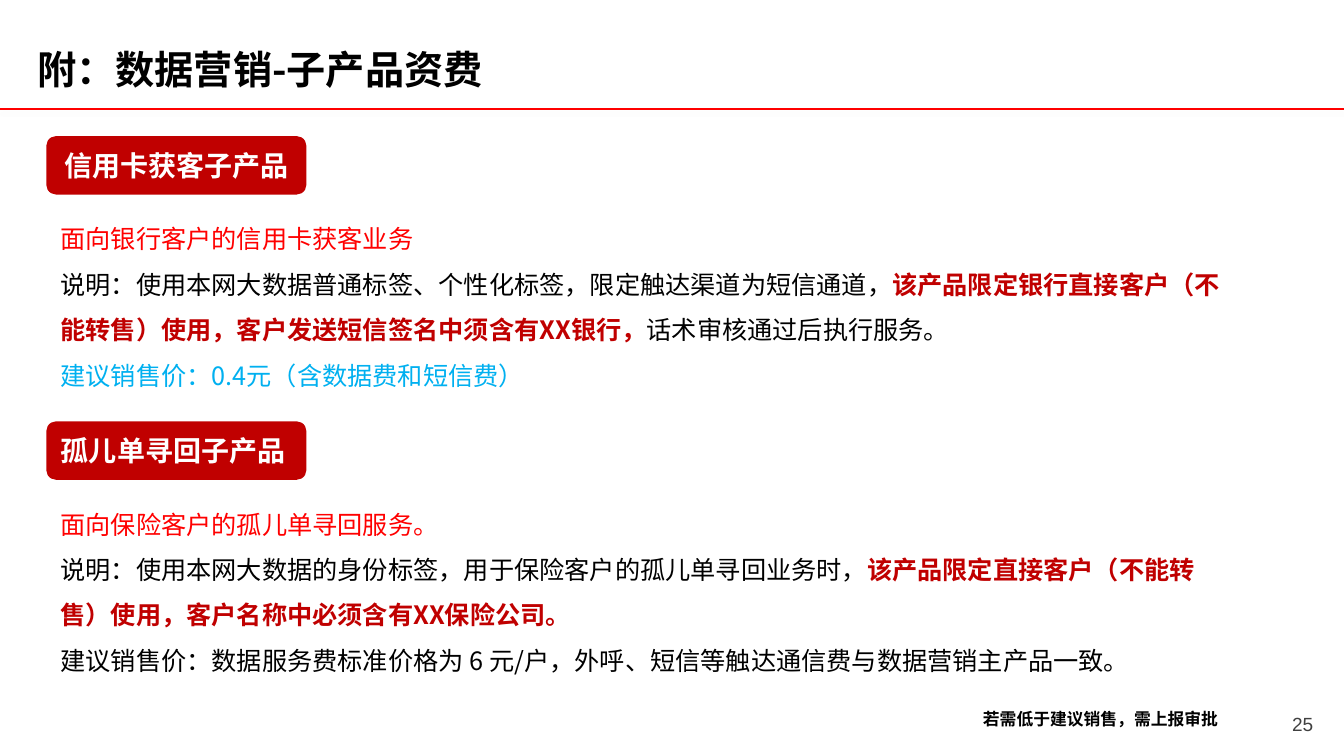
from lxml import etree
from pptx import Presentation
from pptx import util as u
from pptx.dml.color import RGBColor
from pptx.enum import shapes, text
from pptx.oxml import ns, parse_xml

COLORS = {"black": "000000", "red": "FF0000", "crimson": "C00000",
          "blue": "00B0F0", "white": "FFFFFF", "grey": "404040"}
CJK = "Noto Sans CJK SC"
SIZE = (13.33, 7.5)

deck = Presentation()
deck.slide_width, deck.slide_height = map(u.Inches, SIZE)
page = deck.slides.add_slide(deck.slide_layouts[3])


def area(left, top, width, height):
    shares = zip((left, top, width, height), SIZE * 2)
    return [u.Inches(share * side / 100) for share, side in shares]


def write(box, paras, size, frame_format, para_format, font=CJK):
    frame = box.text_frame
    for name, value in frame_format.items():
        setattr(frame, name, value)
    for index, spans in enumerate(paras):
        para = frame.add_paragraph() if index else frame.paragraphs[0]
        props = para._p.get_or_add_pPr()
        props.set("marL", "0")
        props.set("indent", "0")
        etree.SubElement(props, ns.qn("a:buNone"))
        for name, value in {"space_before": u.Pt(0), **para_format}.items():
            setattr(para, name, value)
        for words, color, bold in spans:
            span = para.add_run()
            span.text = words
            for name, value in {"size": u.Pt(size), "bold": bold, "name": font}.items():
                setattr(span.font, name, value)
            span.font.color.rgb = RGBColor.from_string(COLORS[color])
            letters = span._r.get_or_add_rPr()
            letters.set("lang", "zh-CN")
            letters.find(ns.qn("a:latin")).addnext(
                etree.Element(ns.qn("a:ea"), typeface=font))


rule_left, rule_top, rule_width, _ = area(0, 14.4, 100, 0)
rule = page.shapes.add_connector(shapes.MSO_CONNECTOR.STRAIGHT,
                                 rule_left, rule_top, rule_width, rule_top)
rule.line.color.rgb = RGBColor.from_string(COLORS["red"])
rule.line.width = u.Pt(1)
rule._element.spPr.append(parse_xml(
    f'<a:effectLst {ns.nsdecls("a")}>'
    f'<a:outerShdw blurRad="{u.Pt(3.1)}" dist="{u.Pt(1.6)}" dir="5400000" rotWithShape="0">'
    f'<a:srgbClr val="{COLORS["black"]}"><a:alpha val="38000"/></a:srgbClr>'
    '</a:outerShdw></a:effectLst>'))

LEFT, CENTER = text.PP_ALIGN.LEFT, text.PP_ALIGN.CENTER
TOP, MIDDLE = text.MSO_ANCHOR.TOP, text.MSO_ANCHOR.MIDDLE
GROW = text.MSO_AUTO_SIZE.SHAPE_TO_FIT_TEXT
growing = {"word_wrap": True, "auto_size": GROW, "vertical_anchor": TOP}
flush = dict.fromkeys(("margin_left", "margin_top", "margin_right", "margin_bottom"), 0)

title = page.shapes.title
title.left, title.top, title.width, title.height = area(2.78, 4.4, 45.46, 7.87)
write(title, [[("附：数据营销-子产品资费", "black", True)]], 28,
      {**growing, **flush}, {"line_spacing": 1.25, "alignment": LEFT})

sections = [
    ("信用卡获客子产品", [
        [("面向银行客户的信用卡获客业务", "red", False)],
        [("说明：使用本网大数据普通标签、个性化标签，限定触达渠道为短信通道，", "black", False),
         ("该产品限定银行直接客户（不能转售）使用，客户发送短信签名中须含有XX银行，", "crimson", True),
         ("话术审核通过后执行服务。", "black", False)],
        [("建议销售价：0.4元（含数据费和短信费）", "blue", False)]]),
    ("孤儿单寻回子产品 ", [
        [("面向保险客户的孤儿单寻回服务。", "red", False)],
        [("说明：使用本网大数据的身份标签，用于保险客户的孤儿单寻回业务时，", "black", False),
         ("该产品限定直接客户（不能转售）使用，客户名称中必须含有XX保险公司。", "crimson", True)],
        [("建议销售价：数据服务费标准价格为 6 元/户，外呼、短信等触达通信费与数据营销主产品一致。",
          "black", False)]]),
]
FIRST_ROW, SECTION_PITCH, BODY_DROP = 18, 37.73, 8.93

for index, (heading, paras) in enumerate(sections):
    row = FIRST_ROW + index * SECTION_PITCH
    body = page.placeholders[index + 1]
    body.left, body.top, body.width, body.height = area(3.75, row + BODY_DROP, 88, 25.3)
    write(body, paras, 18, growing, {"line_spacing": 1.5, "alignment": LEFT})

    badge = page.shapes.add_shape(shapes.MSO_SHAPE.ROUNDED_RECTANGLE,
                                  *area(3.45, row, 19.35, 7.73))
    badge.shadow.inherit = False
    badge.fill.solid()
    badge.fill.fore_color.rgb = RGBColor.from_string(COLORS["crimson"])
    badge.line.fill.background()
    write(badge, [[(heading, "white", True)]], 20,
          {"word_wrap": True, "vertical_anchor": MIDDLE}, {"alignment": CENTER})

note = page.shapes.add_textbox(*area(72.4, 93.07, 19.2, 4))
write(note, [[("若需低于建议销售，需上报审批", "black", True)]], 12,
      {**growing, "word_wrap": False}, {"alignment": LEFT})

number = page.shapes.add_textbox(*area(95.05, 92.93, 3.75, 5.6))
write(number, [[("25", "grey", False)]], 13.6,
      {"word_wrap": True, "vertical_anchor": MIDDLE,
       "margin_left": u.Inches(0.08), "margin_right": u.Inches(0.08)},
      {"alignment": CENTER}, "Arial")

deck.save("out.pptx")
